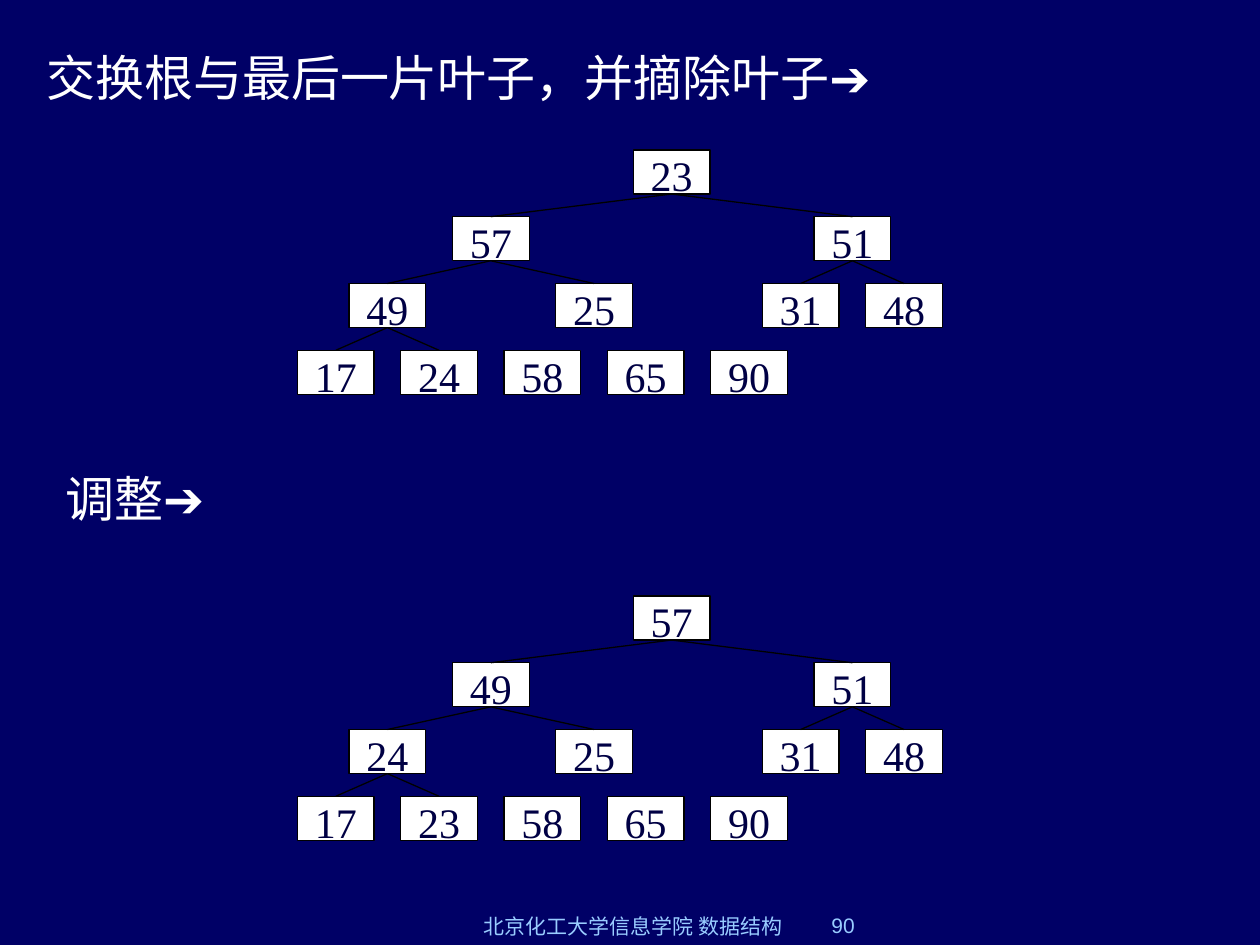
"""Build a slide showing a heap before and after its root is sifted down."""
from lxml.etree import SubElement
from pptx import Presentation
from pptx.dml.color import RGBColor
from pptx.enum.shapes import MSO_CONNECTOR, MSO_SHAPE
from pptx.enum.text import MSO_ANCHOR, MSO_AUTO_SIZE, PP_ALIGN
from pptx.oxml.ns import qn
from pptx.util import Inches, Pt

NAVY = RGBColor(0x00, 0x00, 0x66)
INK = RGBColor(0x00, 0x00, 0x44)
WHITE = RGBColor(0xFF, 0xFF, 0xFF)
BLACK = RGBColor(0x00, 0x00, 0x00)
SKY = RGBColor(0x99, 0xCC, 0xFF)
CHINESE, LATIN, NUMERAL = "Noto Sans CJK SC", "Arial", "Times New Roman"

HEADINGS = [
    ("交换根与最后一片叶子，并摘除叶子", (0.27, 0.33, 6.99, 0.57), False),
    ("调整", (0.42, 3.67, 10, 0.57), True),
]
FOOTERS = [
    ("北京化工大学信息学院 数据结构", (3.58, 7.25, 2.89, 0.25), PP_ALIGN.CENTER),
    ("90", (6.5, 7.25, 2.08, 0.24), PP_ALIGN.LEFT),
]
HEAPS = [
    (1.19, [23, 57, 51, 49, 25, 31, 48, 17, 24, 58, 65, 90]),
    (4.73, [57, 49, 51, 24, 25, 31, 48, 17, 23, 58, 65, 90]),
]
HEAP_SIZE = 9
LEAF_COLUMNS = {4: 2.5, 5: 4.5, 6: 5.5, 7: 0, 8: 1, 9: 2, 10: 3, 11: 4}
TREE_LEFT, COLUMN, ROW = 2.36, 0.82, 0.53
NODE_WIDTH, NODE_HEIGHT = 0.61, 0.35


def write(shape, *spans, size, color, align=PP_ALIGN.LEFT, anchor=MSO_ANCHOR.TOP,
          wrap=True, margins=(0.1, 0.05)):
    """Fill a shape with one paragraph of (text, font) spans."""
    frame = shape.text_frame
    frame.word_wrap = wrap
    frame.vertical_anchor = anchor
    frame.margin_left = frame.margin_right = Inches(margins[0])
    frame.margin_top = frame.margin_bottom = Inches(margins[1])
    para = frame.paragraphs[0]
    para.alignment = align
    for text, face in spans:
        span = para.add_run()
        span.text = text
        span.font.size = Pt(size)
        span.font.color.rgb = color
        span.font.name = face
        SubElement(span.font._element, qn("a:ea")).set("typeface", face)


def node_column(index):
    """Centre each parent over its two children."""
    if index in LEAF_COLUMNS:
        return LEAF_COLUMNS[index]
    return (node_column(2 * index + 1) + node_column(2 * index + 2)) / 2


def node_place(index, top):
    """Return the left and top of a node from its heap index."""
    level = (index + 1).bit_length() - 1
    return TREE_LEFT + node_column(index) * COLUMN, top + level * ROW


def add_node(group, value, left, top):
    """Draw one numbered box."""
    box = group.shapes.add_shape(
        MSO_SHAPE.RECTANGLE, Inches(left), Inches(top), Inches(NODE_WIDTH), Inches(NODE_HEIGHT))
    box.shadow.inherit = False
    box.fill.solid()
    box.fill.fore_color.rgb = WHITE
    box.line.color.rgb = BLACK
    box.line.width = Pt(0.75)
    write(box, (str(value), NUMERAL), size=24, color=INK, align=PP_ALIGN.CENTER, margins=(0, 0))


def add_branch(group, parent, child):
    """Join the bottom of a parent to the top of a child."""
    middle = NODE_WIDTH / 2
    branch = group.shapes.add_connector(
        MSO_CONNECTOR.STRAIGHT,
        Inches(parent[0] + middle), Inches(parent[1] + NODE_HEIGHT),
        Inches(child[0] + middle), Inches(child[1]))
    branch.line.color.rgb = BLACK
    branch.line.width = Pt(0.75)
    SubElement(branch._element.spPr, qn("a:effectLst"))


def add_heap(page, top, values):
    """Draw the nodes, then the branches that are still in the heap."""
    group = page.shapes.add_group_shape()
    places = [node_place(index, top) for index in range(len(values))]
    for value, place in zip(values, places):
        add_node(group, value, *place)
    for child in range(1, HEAP_SIZE):
        add_branch(group, places[(child - 1) // 2], places[child])


def add_text_box(page, place):
    return page.shapes.add_textbox(*(Inches(length) for length in place))


def main():
    deck = Presentation()
    deck.slide_width, deck.slide_height = Inches(10), Inches(7.5)
    page = deck.slides.add_slide(deck.slide_layouts[6])
    page.background.fill.solid()
    page.background.fill.fore_color.rgb = NAVY
    for text, place, wrap in HEADINGS:
        box = add_text_box(page, place)
        write(box, (text, CHINESE), ("➔", LATIN), size=28, color=WHITE, wrap=wrap)
        box.text_frame.auto_size = MSO_AUTO_SIZE.SHAPE_TO_FIT_TEXT
    for top, values in HEAPS:
        add_heap(page, top, values)
    for text, place, align in FOOTERS:
        write(add_text_box(page, place), (text, LATIN), size=12, color=SKY,
              align=align, anchor=MSO_ANCHOR.BOTTOM)
    deck.save("out.pptx")


if __name__ == "__main__":
    main()
